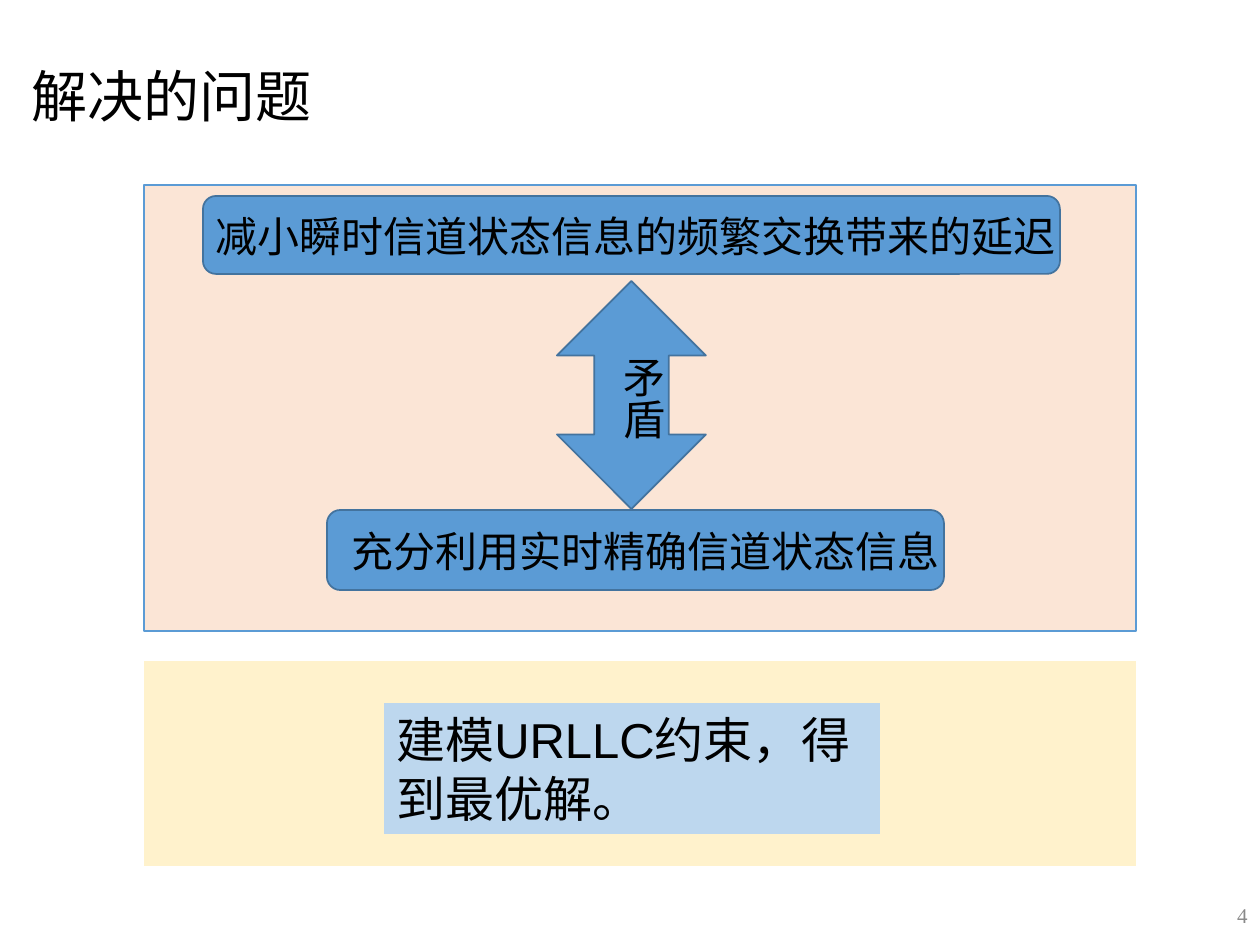
from dataclasses import dataclass

from pptx import Presentation
from pptx import util as u
from pptx.dml.color import RGBColor
from pptx.enum import shapes, text

PX = 914400 / 126  # EMU in one px


@dataclass(frozen=True)
class Theme:
    ink: str = "000000"
    muted: str = "898989"
    blue: str = "5B9BD5"
    edge: str = "43739E"
    sky: str = "BDD7EE"
    peach: str = "FBE5D6"
    cream: str = "FFF2CC"
    serif: str = "Times New Roman"
    sans: str = "Arial"
    title: int = 32
    result: int = 28
    label: int = 24
    number: int = 12


class Deck:
    def __init__(self, prs, theme):
        self.t = theme
        self.s = prs.slides.add_slide(prs.slide_layouts[5])

    def emu(self, *px):
        return [u.Emu(round(v * PX)) for v in px]

    def add_words(self, sp, words, size, font, color=None, align=text.PP_ALIGN.LEFT,
                  anchor=text.MSO_ANCHOR.TOP, wrap=True):
        tf = sp.text_frame
        tf.word_wrap = wrap
        tf.auto_size = text.MSO_AUTO_SIZE.NONE
        tf.vertical_anchor = anchor
        p = tf.paragraphs[0]
        p.alignment = align
        r = p.add_run()
        r.text = words
        r.font.size = u.Pt(size)
        r.font.name = font
        r.font.color.rgb = RGBColor.from_string(color or self.t.ink)

    def title(self, box, words):
        sp = self.s.shapes.title
        sp.left, sp.top, sp.width, sp.height = self.emu(*box)
        self.add_words(sp, words, self.t.title, self.t.serif, wrap=False)

    def shape(self, kind, box, fill, line=None, weight=1):
        sp = self.s.shapes.add_shape(kind, *self.emu(*box))
        sp.shadow.inherit = False
        sp.fill.solid()
        sp.fill.fore_color.rgb = RGBColor.from_string(fill)
        if line:
            sp.line.color.rgb = RGBColor.from_string(line)
            sp.line.width = u.Pt(weight)
        else:
            sp.line.fill.background()
        return sp

    def label(self, box, words, vertical=False):
        sp = self.s.shapes.add_textbox(*self.emu(*box))
        self.add_words(sp, words, self.t.label, self.t.sans)
        if vertical:
            sp.element.txBody.bodyPr.set("vert", "eaVert")

    def number(self, box, words):
        sp = self.s.shapes.add_textbox(*self.emu(*box))
        self.add_words(sp, words, self.t.number, self.t.serif, self.t.muted,
                       text.PP_ALIGN.RIGHT, text.MSO_ANCHOR.MIDDLE)


def main():
    prs = Presentation()
    prs.slide_width, prs.slide_height = u.Inches(10), u.Inches(7.5)
    t = Theme()
    deck = Deck(prs, t)
    kind = shapes.MSO_SHAPE

    # Title and page number
    deck.title((19, 55, 309, 81), "解决的问题")
    deck.number((966, 890, 294, 50), "4")

    # Background panels
    deck.shape(kind.RECTANGLE, (144, 661, 992, 205), t.cream)
    deck.shape(kind.RECTANGLE, (144, 185, 992, 446), t.peach, t.blue, 0.75)

    # Two conflicting goals
    goals = [
        ((203, 196, 857, 78), (203, 204, 888, 63), "减小瞬时信道状态信息的频繁交换带来的延迟"),
        ((327, 510, 617, 80), (339, 519, 735, 63), "充分利用实时精确信道状态信息"),
    ]
    for bar, box, words in goals:
        deck.shape(kind.ROUNDED_RECTANGLE, bar, t.blue, t.edge)
        deck.label(box, words)

    # Conflict arrow
    deck.shape(kind.UP_DOWN_ARROW, (557, 281, 149, 228), t.blue, t.edge)
    deck.label((597, 344, 77, 129), "矛盾", vertical=True)

    # Result
    result = deck.shape(kind.RECTANGLE, (384, 703, 496, 131), t.sky)
    deck.add_words(result, "建模URLLC约束，得到最优解。", t.result, t.sans)

    prs.save("out.pptx")


if __name__ == "__main__":
    main()
